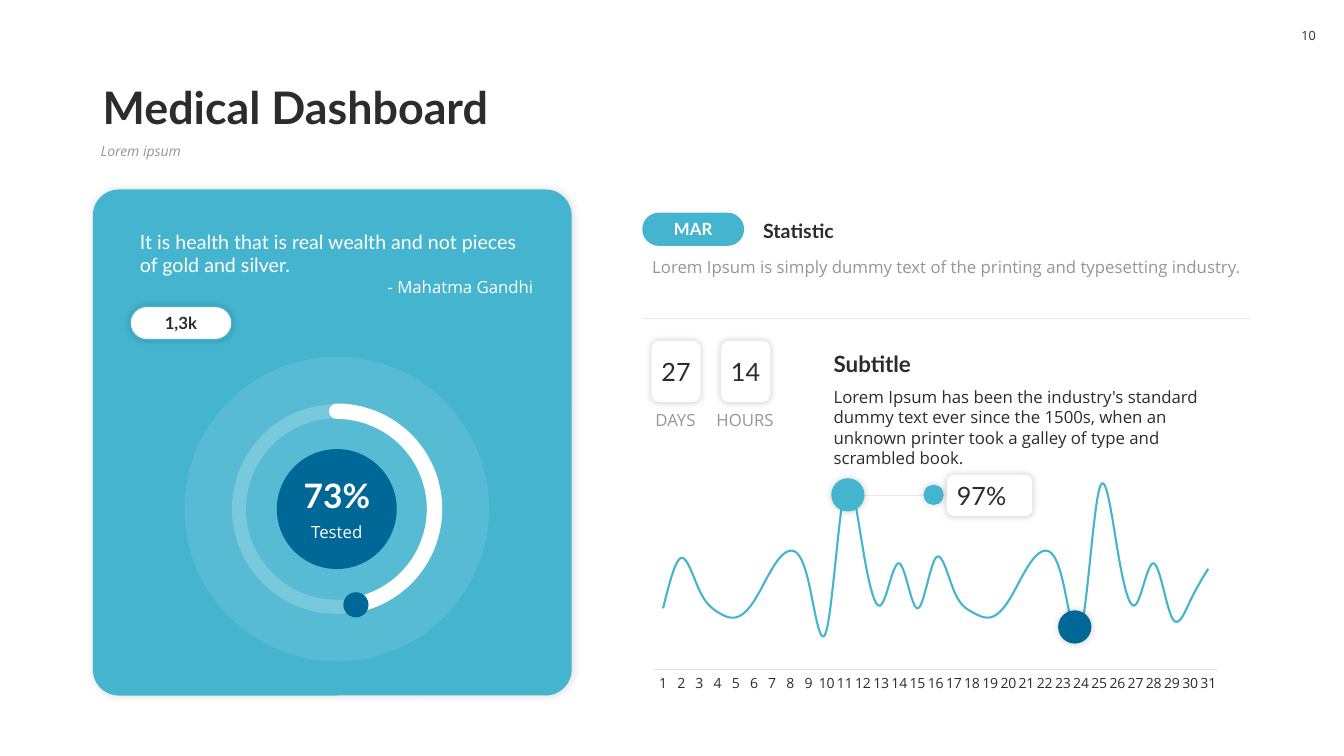
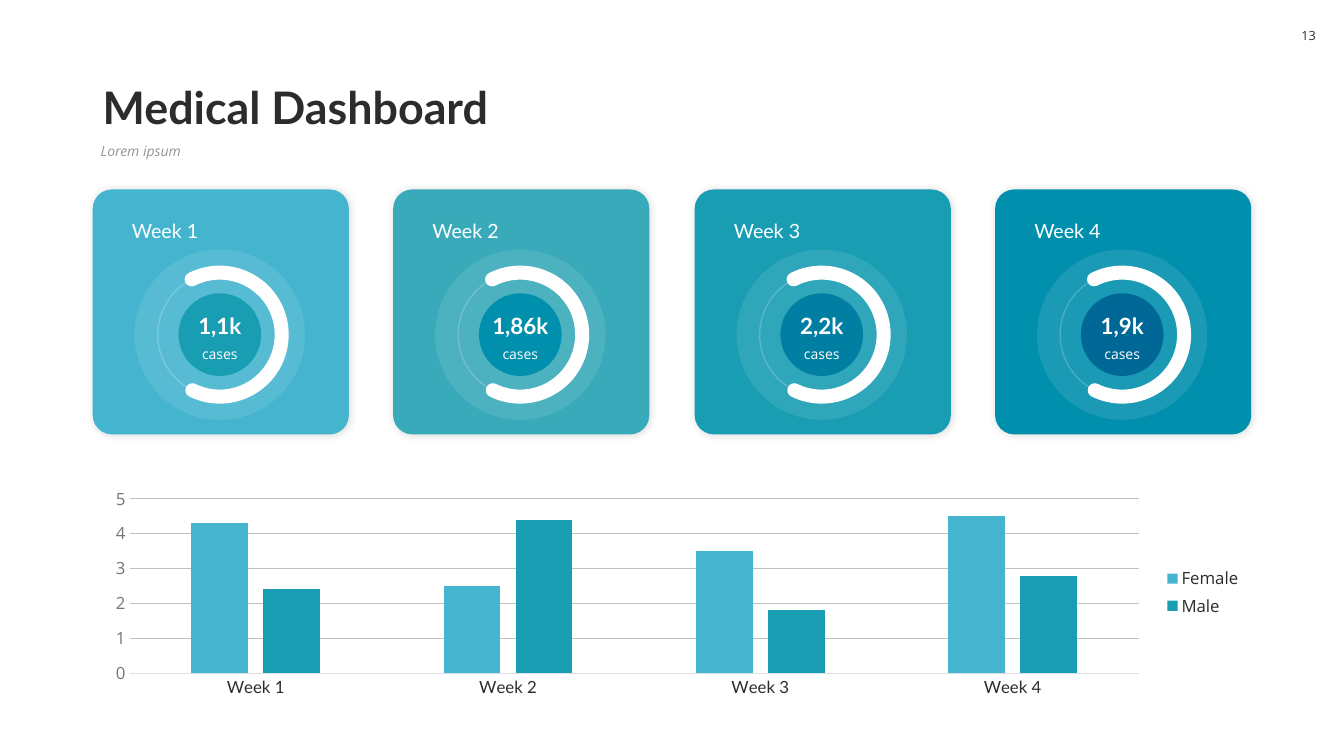
from dataclasses import dataclass

from lxml.etree import SubElement
from pptx import Presentation
from pptx.chart.data import CategoryChartData
from pptx.dml.color import RGBColor
from pptx.enum.chart import XL_CHART_TYPE, XL_LEGEND_POSITION, XL_MARKER_STYLE, XL_TICK_MARK
from pptx.enum.shapes import MSO_CONNECTOR, MSO_SHAPE
from pptx.enum.text import MSO_ANCHOR, PP_ALIGN
from pptx.oxml.ns import qn
from pptx.util import Emu, Pt


@dataclass(frozen=True)
class Type:
    size: int
    font: str
    color: str
    bold: bool = False
    italic: bool = False


class Theme:
    HEAD, BODY = "Lato", "Open Sans"
    WHITE, INK, GRAY, AXIS_GRAY = "FFFFFF", "2C2C2C", "969696", "767676"
    HAIRLINE, BASELINE, GRID = "EAEAEA", "DFDFDF", "C0C0C0"
    SKY, TEAL, SEA, OCEAN, BLUE, NAVY = "45B5CF", "39AAB9", "199DB3", "008FAC", "007FA2", "006896"

    TITLE = Type(32, HEAD, INK, bold=True)
    SUBTITLE = Type(10, BODY, GRAY, italic=True)
    PAGE = Type(9, BODY, INK)
    HEADING = Type(16, HEAD, INK, bold=True)
    LABEL = Type(14, HEAD, INK, bold=True)
    CARD = Type(14, HEAD, WHITE)
    CARD_NOTE = Type(12, BODY, WHITE)
    CARD_SMALL = Type(10, BODY, WHITE)
    BIG_VALUE = Type(24, HEAD, WHITE, bold=True)
    VALUE = Type(16, HEAD, WHITE, bold=True)
    TAG = Type(12, HEAD, INK, bold=True)
    TAG_LIGHT = Type(12, HEAD, WHITE, bold=True)
    FIGURE = Type(18, HEAD, INK)
    TEXT = Type(12, BODY, INK)
    MUTED = Type(12, BODY, GRAY)
    TICK = Type(10, BODY, INK)
    CATEGORY = Type(12, HEAD, INK)
    SCALE = Type(12, BODY, AXIS_GRAY)

    CARD_SHADOW = (15, 6, 1)
    TILE_SHADOW = (20, 5, 0)


@dataclass(frozen=True)
class Dial:
    halo: int
    ring: int
    core: int
    ring_pt: int
    arc_pt: int
    start: float
    end: float
    value: Type
    note: Type
    value_h: int
    note_h: int
    drop: int


T = Theme
LEFT, CENTER, RIGHT = PP_ALIGN.LEFT, PP_ALIGN.CENTER, PP_ALIGN.RIGHT
TOP, MIDDLE, BOTTOM = MSO_ANCHOR.TOP, MSO_ANCHOR.MIDDLE, MSO_ANCHOR.BOTTOM
PAD, SNUG, SLIM, NONE = (10, 5), (4, 5), (0, 5), (0, 0)


def px(n):
    return Emu(n * 9144)


def rgb(color):
    return RGBColor.from_string(color)


def set_font(font, style):
    font.size, font.name = Pt(style.size), style.font
    font.bold, font.italic = style.bold, style.italic
    font.color.rgb = rgb(style.color)


def set_alpha(fill_parent, percent):
    clr = next(fill_parent.iter(qn("a:srgbClr")))
    SubElement(clr, qn("a:alpha"), val=str(percent * 1000))


class Deck:
    def __init__(self):
        self.prs = Presentation()
        self.prs.slide_width, self.prs.slide_height = px(1333), px(750)
        self.s = None

    def slide(self, title, subtitle, page):
        self.s = self.prs.slides.add_slide(self.prs.slide_layouts[6])
        self.text(92, 58, 1150, 80, title, T.TITLE, anchor=BOTTOM, spacing=0.9)
        self.text(90, 138, 1152, 36, subtitle, T.SUBTITLE, spacing=0.9)
        self.text(1280, 18, 36, 35, page, T.PAGE, CENTER, MIDDLE, SLIM)

    def fill_text(self, tf, lines, anchor, pad, spacing=None):
        tf.word_wrap = True
        tf.vertical_anchor = anchor
        tf.margin_left = tf.margin_right = px(pad[0])
        tf.margin_top = tf.margin_bottom = px(pad[1])
        for i, (text, style, align) in enumerate(lines):
            p = tf.add_paragraph() if i else tf.paragraphs[0]
            p.text, p.alignment = text, align
            if spacing:
                p.line_spacing = spacing
            set_font(p.font, style)

    def text(self, x, y, w, h, text, style, align=LEFT, anchor=TOP, pad=PAD, spacing=None):
        self.lines(x, y, w, h, [(text, style, align)], anchor, pad, spacing)

    def lines(self, x, y, w, h, lines, anchor=TOP, pad=PAD, spacing=None):
        box = self.s.shapes.add_textbox(px(x), px(y), px(w), px(h))
        self.fill_text(box.text_frame, lines, anchor, pad, spacing)

    def shape(self, kind, x, y, w, h, fill=None, alpha=None, line=None, shadow=None, adj=()):
        sp = self.s.shapes.add_shape(kind, px(x), px(y), px(w), px(h))
        for i, value in enumerate(adj):
            sp.adjustments[i] = value
        sp.shadow.inherit = False
        if fill:
            sp.fill.solid()
            sp.fill.fore_color.rgb = rgb(fill)
            if alpha:
                set_alpha(sp._element.spPr, alpha)
        else:
            sp.fill.background()
        if line:
            sp.line.color.rgb = rgb(line[0])
            sp.line.width = Pt(line[1])
        else:
            sp.line.fill.background()
        if shadow:
            self.cast(sp, *shadow)
        return sp

    def cast(self, sp, alpha, blur, dist):
        effects = sp._element.spPr.find(qn("a:effectLst"))
        outer = SubElement(effects, qn("a:outerShdw"), blurRad=str(Pt(blur)), dist=str(Pt(dist)),
                           dir="2700000", algn="ctr", rotWithShape="0")
        SubElement(outer, qn("a:srgbClr"), val="000000")
        set_alpha(outer, alpha)

    def card(self, x, y, w, h, fill, radius):
        self.shape(MSO_SHAPE.ROUNDED_RECTANGLE, x, y, w, h, fill, shadow=T.CARD_SHADOW,
                   adj=[radius / min(w, h)])

    def tile(self, x, y, w, h, text, style, align=CENTER, pad=SLIM):
        sp = self.shape(MSO_SHAPE.ROUNDED_RECTANGLE, x, y, w, h, T.WHITE, shadow=T.TILE_SHADOW)
        self.fill_text(sp.text_frame, [(text, style, align)], MIDDLE, pad)

    def pill(self, x, y, text, style, fill, line=None, shadow=None):
        sp = self.shape(MSO_SHAPE.ROUNDED_RECTANGLE, x, y, 101, 33, fill, line=line,
                        shadow=shadow, adj=[0.5])
        self.fill_text(sp.text_frame, [(text, style, CENTER)], MIDDLE, NONE)

    def circle(self, cx, cy, d, fill=None, **look):
        return self.shape(MSO_SHAPE.OVAL, cx - d / 2, cy - d / 2, d, d, fill, **look)

    def line(self, x1, y1, x2, y2):
        c = self.s.shapes.add_connector(MSO_CONNECTOR.STRAIGHT, px(x1), px(y1), px(x2), px(y2))
        c.line.color.rgb, c.line.width = rgb(T.HAIRLINE), Pt(0.5)
        SubElement(c._element.spPr, qn("a:effectLst"))

    def dial(self, cx, cy, dial, fill, value, note):
        self.circle(cx, cy, dial.halo, T.WHITE, alpha=10)
        ring = self.circle(cx, cy, dial.ring, line=(T.WHITE, dial.ring_pt))
        set_alpha(ring._element.spPr.find(qn("a:ln")), 20)
        r = dial.ring / 2
        arc = self.shape(MSO_SHAPE.ARC, cx - r, cy - r, dial.ring, dial.ring,
                         line=(T.WHITE, dial.arc_pt), adj=[dial.start * 0.6, dial.end * 0.6])
        arc._element.spPr.find(qn("a:ln")).set("cap", "rnd")
        self.circle(cx, cy, dial.core, fill)
        x, bottom = cx - dial.core / 2, cy + dial.drop
        self.text(x, bottom - dial.value_h, dial.core, dial.value_h, value, dial.value, CENTER, BOTTOM)
        self.text(x, bottom - 3, dial.core, dial.note_h, note, dial.note, CENTER)

    def chart(self, kind, x, y, w, h, cats, series, cat_style, top, step):
        data = CategoryChartData()
        data.categories = cats
        for name, values, _ in series:
            data.add_series(name, values)
        chart = self.s.shapes.add_chart(kind, px(x), px(y), px(w), px(h), data).chart
        set_font(chart.font, T.TICK)
        chart.has_title = chart.has_legend = False
        cat, val = chart.category_axis, chart.value_axis
        cat.major_tick_mark = val.major_tick_mark = XL_TICK_MARK.NONE
        set_font(cat.tick_labels.font, cat_style)
        cat.format.line.color.rgb, cat.format.line.width = rgb(T.BASELINE), Pt(0.75)
        val.minimum_scale, val.maximum_scale, val.major_unit = 0, top, step
        chart.plots[0].vary_by_categories = False
        return chart

    def line_chart(self, x, y, w, h, cats, series, top, step):
        chart = self.chart(XL_CHART_TYPE.LINE_STACKED, x, y, w, h, cats, series, T.TICK, top, step)
        chart.value_axis.has_major_gridlines = False
        chart.value_axis.visible = False
        for ser, (_, _, color) in zip(chart.plots[0].series, series):
            ser.smooth = True
            ser.marker.style = XL_MARKER_STYLE.NONE
            ser.format.line.color.rgb, ser.format.line.width = rgb(color), Pt(1.5)

    def column_chart(self, x, y, w, h, cats, series, top, step):
        chart = self.chart(XL_CHART_TYPE.COLUMN_CLUSTERED, x, y, w, h, cats, series,
                           T.CATEGORY, top, step)
        plot, val = chart.plots[0], chart.value_axis
        plot.gap_width, plot.overlap = 219, -27
        for ser, (_, _, color) in zip(plot.series, series):
            ser.format.fill.solid()
            ser.format.fill.fore_color.rgb = rgb(color)
        set_font(val.tick_labels.font, T.SCALE)
        val.format.line.fill.background()
        grid = val.major_gridlines.format.line
        grid.color.rgb, grid.width = rgb(T.GRID), Pt(0.75)
        chart.has_legend = True
        chart.legend.position = XL_LEGEND_POSITION.RIGHT
        chart.legend.include_in_layout = False
        set_font(chart.legend.font, T.TEXT)


def statistic_slide(deck):
    deck.slide("Medical Dashboard", "Lorem ipsum", "10")
    deck.card(92, 188, 475, 502, T.SKY, 26)
    deck.lines(129, 223, 410, 80, [
        ("It is health that is real wealth and not pieces of gold and silver.", T.CARD, LEFT),
        ("- Mahatma Gandhi", T.CARD_NOTE, RIGHT)])
    deck.pill(129, 304, "1,3k", T.TAG, T.WHITE, (T.SKY, 1), T.TILE_SHADOW)
    tested = Dial(302, 194, 119, 10, 11, 270, 74.93, T.BIG_VALUE, T.CARD_NOTE, 50, 30, 11)
    deck.dial(334, 505, tested, T.NAVY, "73%", "Tested")
    deck.circle(353, 600, 25, T.NAVY)

    deck.pill(637, 211, "MAR", T.TAG_LIGHT, T.SKY)
    deck.text(747, 211, 494, 34, "Statistic", T.LABEL, anchor=BOTTOM)
    deck.text(637, 250, 605, 30,
              "Lorem Ipsum is simply dummy text of the printing and typesetting industry.", T.MUTED)
    deck.line(637, 316, 1241, 316)

    month = [34, 62, 44, 32, 29, 38, 56, 66, 49, 22, 100, 67, 36, 59, 34, 62, 44, 32, 29, 38, 56,
             66, 49, 22, 100, 67, 36, 59, 29, 38, 56]
    days = [str(day) for day in range(1, len(month) + 1)]
    deck.line_chart(637, 445, 582, 247, days, [("Series 1", month, T.SKY)], 120, 20)

    for cx, w, number, unit in [(670, 59, "27", "DAYS"), (739, 67, "14", "HOURS")]:
        deck.tile(cx - 24, 338, 49, 61, number, T.FIGURE)
        deck.text(cx - w / 2, 402, w, 30, unit, T.MUTED, CENTER, pad=SNUG)
    deck.text(817, 342, 426, 37, "Subtitle", T.HEADING, anchor=BOTTOM)
    deck.text(817, 379, 426, 92,
              "Lorem Ipsum has been the industry's standard dummy text ever since the 1500s, "
              "when an unknown printer took a galley of type and scrambled book.", T.TEXT)

    deck.line(858, 491, 919, 491)
    for cx, cy, d, fill in [(841, 491, 33, T.SKY), (1066, 622, 33, T.NAVY), (926, 491, 20, T.SKY)]:
        deck.circle(cx, cy, d, fill, shadow=T.TILE_SHADOW)
    deck.tile(939, 471, 85, 41, "97%", T.FIGURE, LEFT, (8, 5))


def weeks_slide(deck):
    deck.slide("Medical Dashboard", "Lorem ipsum", "13")
    cases = Dial(169, 123, 82, 1, 10, 243.08, 116.19, T.VALUE, T.CARD_SMALL, 37, 27, 9)
    weeks = [("Week 1", "1,1k", T.SKY, T.SEA), ("Week 2", "1,86k", T.TEAL, T.OCEAN),
             ("Week 3", "2,2k", T.SEA, T.BLUE), ("Week 4", "1,9k", T.OCEAN, T.NAVY)]
    for i, (week, value, fill, core) in enumerate(weeks):
        x = 92 + i * 597 // 2
        deck.card(x, 188, 254, 243, fill, 19)
        deck.dial(x + 126, 332, cases, core, value, "cases")
        deck.text(x + 29, 212, 194, 34, week, T.CARD)
    deck.column_chart(92, 479, 1150, 217, [week[0] for week in weeks],
                      [("Female", [4.3, 2.5, 3.5, 4.5], T.SKY),
                       ("Male", [2.4, 4.4, 1.8, 2.8], T.SEA)], 5, 1)


def main():
    deck = Deck()
    statistic_slide(deck)
    weeks_slide(deck)
    deck.prs.save("out.pptx")


if __name__ == "__main__":
    main()
